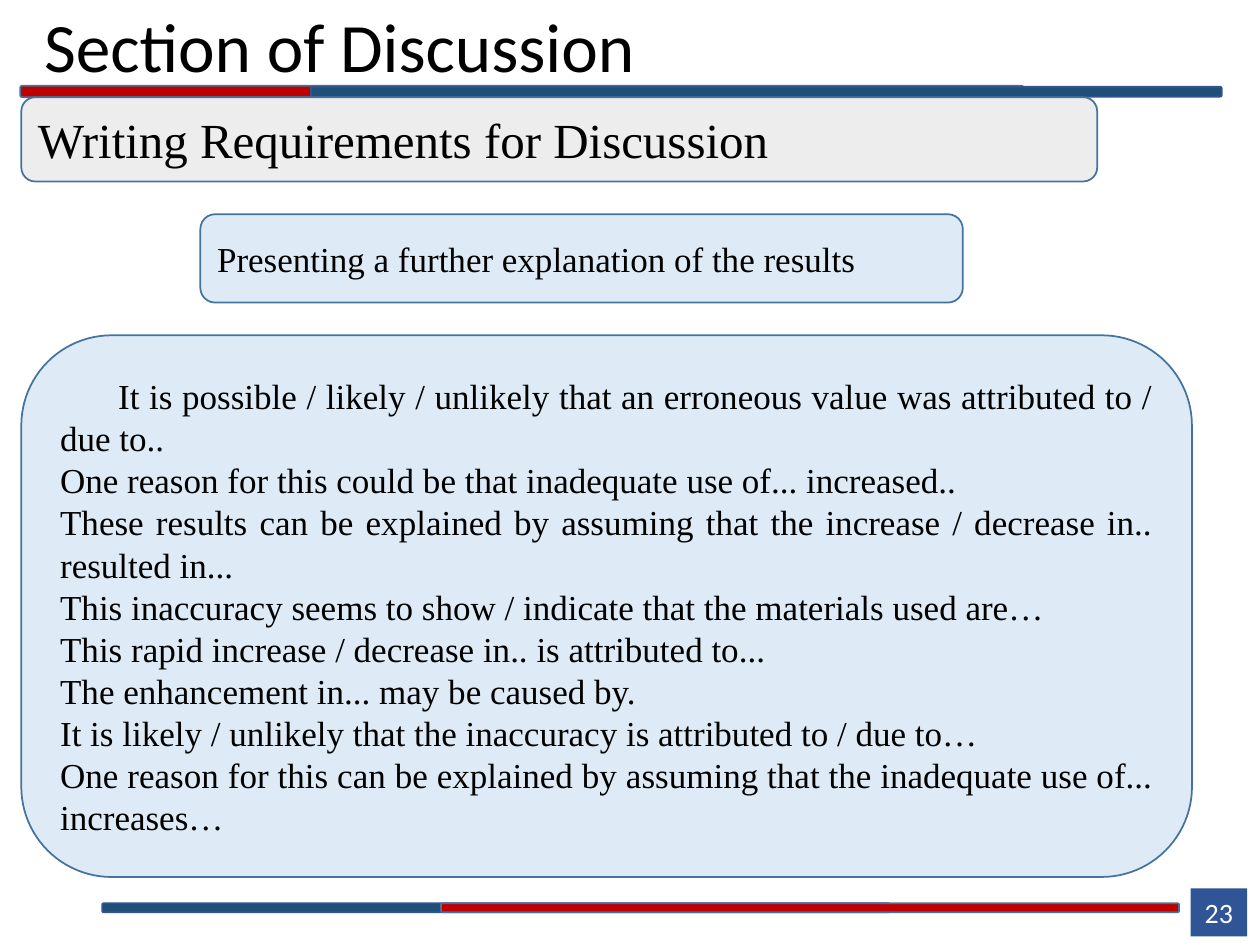
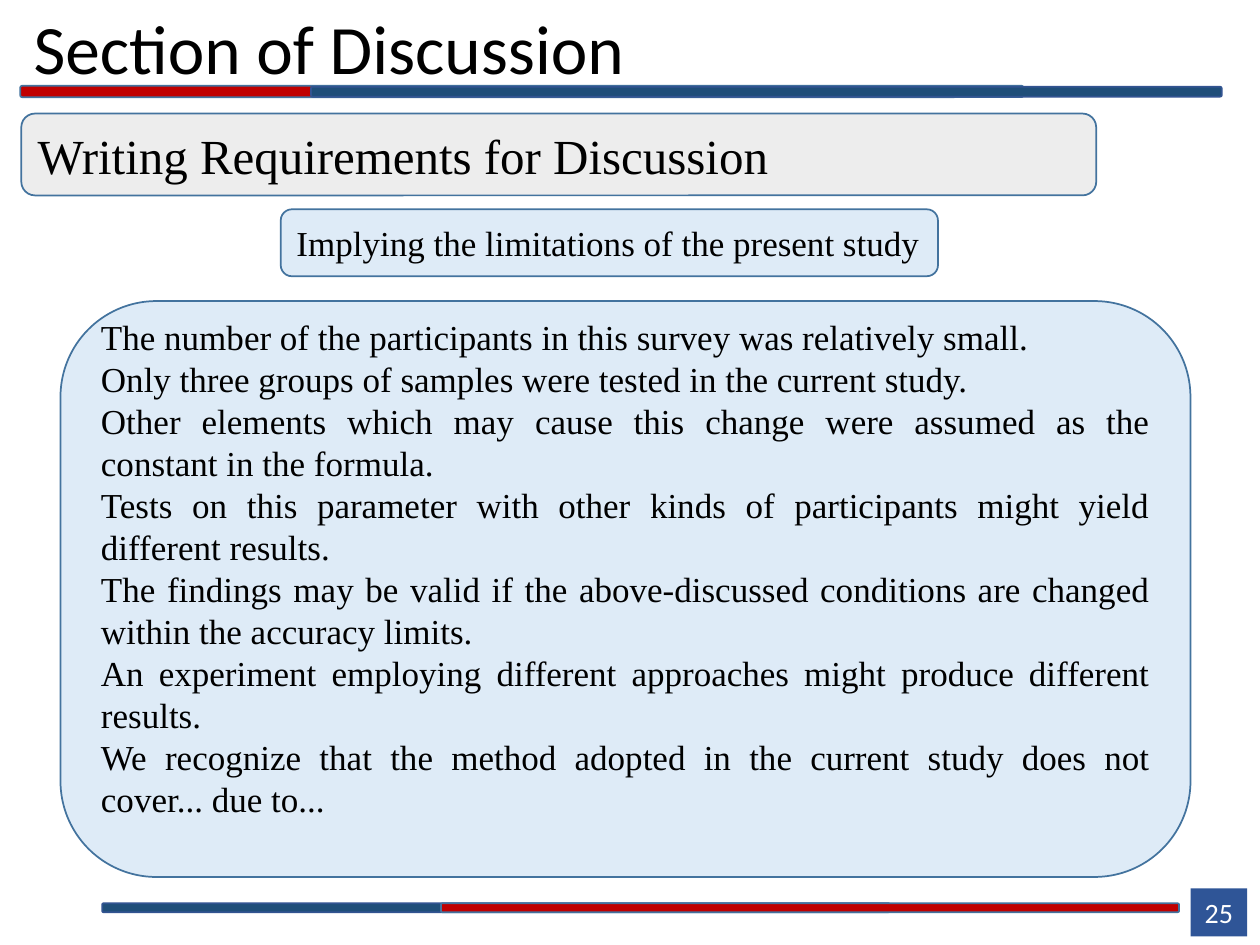
from pptx import Presentation
from pptx.dml.color import RGBColor
from pptx.enum.shapes import MSO_SHAPE
from pptx.enum.text import MSO_ANCHOR, PP_ALIGN
from pptx.util import Cm, Pt

BLACK = RGBColor(0x00, 0x00, 0x00)
WHITE = RGBColor(0xFF, 0xFF, 0xFF)
RED = RGBColor(0xC0, 0x00, 0x00)
NAVY = RGBColor(0x1F, 0x4E, 0x79)
NAVY_EDGE = RGBColor(0x32, 0x54, 0x91)
EDGE = RGBColor(0x43, 0x73, 0x9E)
BADGE = RGBColor(0x2F, 0x55, 0x97)
GREY = RGBColor(0xED, 0xED, 0xED)
PALE = RGBColor(0xDE, 0xEB, 0xF7)
SANS, SERIF = "Calibri", "Times New Roman"

RESULTS = [
    "It is possible / likely / unlikely that an erroneous value was attributed to / due to..",
    "One reason for this could be that inadequate use of... increased..",
    "These results can be explained by assuming that the increase / decrease in.. resulted in...",
    "This inaccuracy seems to show / indicate that the materials used are…",
    "This rapid increase / decrease in.. is attributed to...",
    "The enhancement in... may be caused by.",
    "It is likely / unlikely that the inaccuracy is attributed to / due to…",
    "One reason for this can be explained by assuming that the inadequate use of... increases…",
]
LIMITATIONS = [
    "The number of the participants in this survey was relatively small.",
    "Only three groups of samples were tested in the current study.",
    "Other elements which may cause this change were assumed as the constant in the formula.",
    "Tests on this parameter with other kinds of participants might yield different results.",
    "The findings may be valid if the above-discussed conditions are changed within the accuracy limits.",
    "An experiment employing different approaches might produce different results.",
    "We recognize that the method adopted in the current study does not cover... due to...",
]


def write(sp, lines, size, font=SERIF, color=BLACK, align=PP_ALIGN.LEFT):
    """Fill a shape with evenly styled, vertically centred paragraphs."""
    tf = sp.text_frame
    tf.word_wrap = True
    tf.vertical_anchor = MSO_ANCHOR.MIDDLE
    for i, line in enumerate(lines):
        p = tf.add_paragraph() if i else tf.paragraphs[0]
        p.text = line
        p.alignment = align
        p.font.name, p.font.size = font, Pt(size)
        p.font.color.rgb = color
    return tf


def add_box(shapes, box, fill, edge=EDGE, kind=MSO_SHAPE.ROUNDED_RECTANGLE):
    """Draw a filled shape, with a thin outline if an edge colour is given."""
    sp = shapes.add_shape(kind, *map(Cm, box))
    sp.shadow.inherit = False
    sp.fill.solid()
    sp.fill.fore_color.rgb = fill
    if edge is None:
        sp.line.fill.background()
    else:
        sp.line.color.rgb = edge
        sp.line.width = Pt(1)
    return sp


def add_title(s, box):
    """Write the section title."""
    sp = s.shapes.add_textbox(*map(Cm, box))
    tf = write(sp, ["Section of Discussion"], 39.6, SANS)
    tf.paragraphs[0].line_spacing = 0.9


def add_bands(s):
    """Draw the two-colour bands under the title and above the footer."""
    top = s.shapes.add_group_shape().shapes
    add_box(top, (0.41, 1.73, 20.22, 0.23), RED)
    add_box(top, (6.27, 1.75, 18.36, 0.2), NAVY, NAVY_EDGE)
    bottom = s.shapes.add_group_shape().shapes
    add_box(bottom, (2.06, 18.21, 15.88, 0.18), NAVY, NAVY_EDGE)
    add_box(bottom, (8.89, 18.21, 14.88, 0.18), RED)


def add_page_number(s, number):
    """Draw the page number badge."""
    sp = add_box(s.shapes, (24, 17.91, 1.14, 0.97), BADGE, None, MSO_SHAPE.RECTANGLE)
    tf = write(sp, [str(number)], 16, SANS, WHITE, PP_ALIGN.CENTER)
    tf.margin_left = tf.margin_right = 0


def add_phrases(s, box, phrases, first_indent, space_below):
    """Write the sample phrases in the large panel."""
    sp = add_box(s.shapes, box, PALE)
    tf = write(sp, phrases, 20, align=PP_ALIGN.JUSTIFY)
    tf.margin_bottom = Cm(0.13 + space_below)
    if first_indent:
        pPr = tf.paragraphs[0]._p.get_or_add_pPr()
        pPr.set("marL", "0")
        pPr.set("indent", str(Cm(first_indent)))


def add_requirement_slide(prs, number, title_box, heading_box, point, point_box,
                          phrases, phrases_box, first_indent=0, space_below=0):
    """Build one slide on a writing requirement."""
    s = prs.slides.add_slide(prs.slide_layouts[6])
    add_title(s, title_box)
    add_page_number(s, number)
    add_bands(s)
    heading = add_box(s.shapes, heading_box, GREY)
    write(heading, ["Writing Requirements for Discussion"], 28)
    add_phrases(s, phrases_box, phrases, first_indent, space_below)
    write(add_box(s.shapes, point_box, PALE), [point], 20, align=PP_ALIGN.JUSTIFY)


def main():
    """Build and save the presentation."""
    prs = Presentation()
    prs.slide_width, prs.slide_height = Cm(25.4), Cm(19.05)
    add_requirement_slide(
        prs, 23, (0.64, 0.25, 23.01, 1.5), (0.43, 1.96, 21.69, 1.7),
        "Presenting a further explanation of the results", (4.04, 4.32, 15.37, 1.78),
        RESULTS, (0.43, 6.76, 23.6, 10.92), first_indent=1.17)
    add_requirement_slide(
        prs, 25, (0.43, 0.13, 23.24, 1.83), (0.43, 2.29, 21.67, 1.65),
        "Implying the limitations of the present study", (5.66, 4.22, 13.25, 1.35),
        LIMITATIONS, (1.22, 6.07, 22.78, 11.61), space_below=0.85)
    prs.save("out.pptx")


if __name__ == "__main__":
    main()
